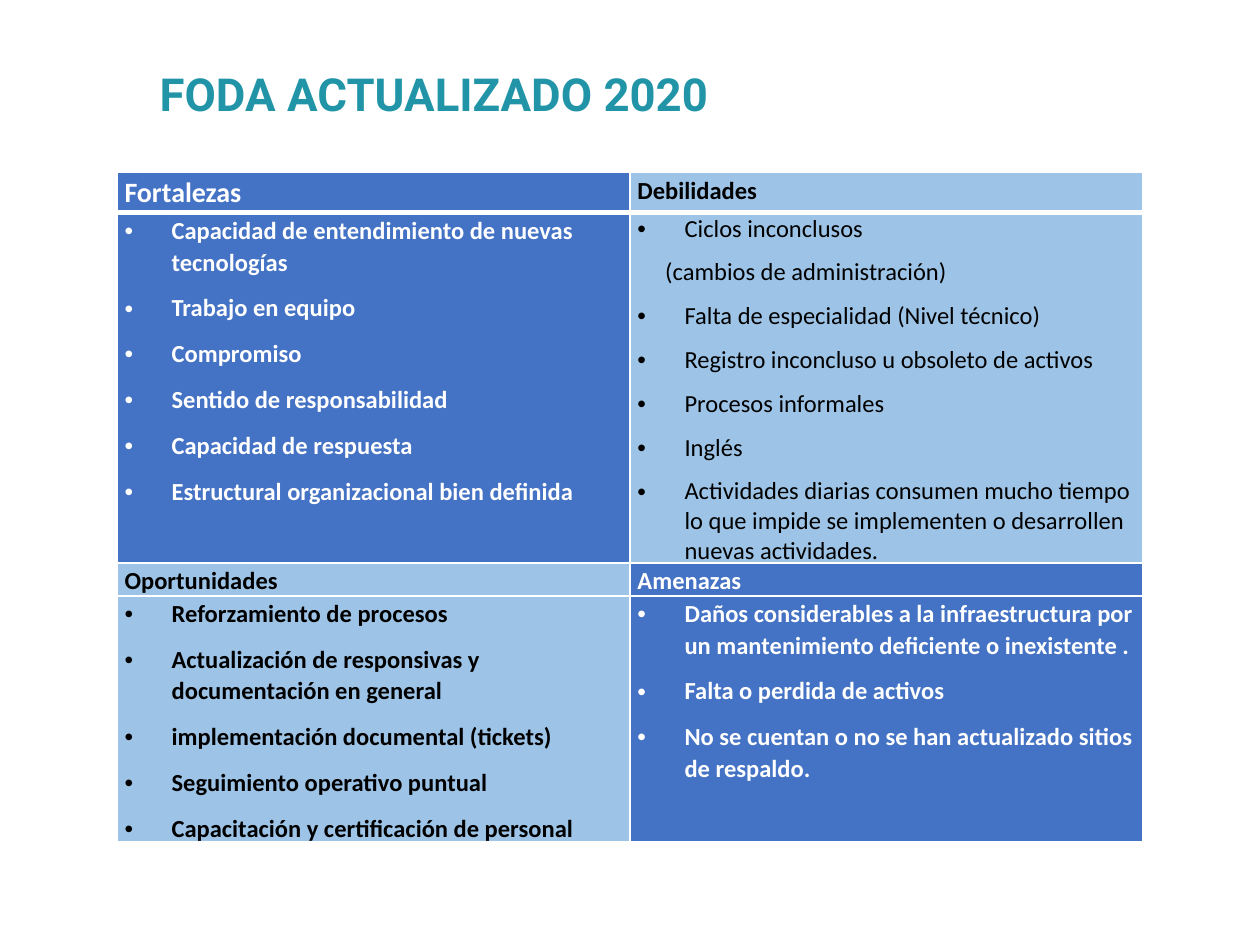
"""Build the FODA 2020 slide: a title over a two-by-two table of lists."""
from lxml.etree import SubElement
from pptx import Presentation
from pptx.dml.color import RGBColor
from pptx.enum.text import MSO_ANCHOR
from pptx.oxml import parse_xml
from pptx.oxml.ns import nsdecls, qn
from pptx.util import Cm, Pt

BLUE, LIGHT_BLUE, TEAL = "4472C4", "9DC3E6", "2195A7"
WHITE, BLACK = "FFFFFF", "000000"
HANGING = Cm(0.95)
CONTINUATION = "(cambios de administración)"


def style(paragraph, font_name, size, color, bold):
    for run in paragraph.runs:
        run.font.name = font_name
        run.font.size = Pt(size)
        run.font.bold = bold
        run.font.color.rgb = RGBColor.from_string(color)


def add_borders(cell, widths):
    properties = cell._tc.get_or_add_tcPr()
    for position, (side, width) in enumerate(widths.items()):
        properties.insert(position, parse_xml(
            f'<a:ln{side} {nsdecls("a")} w="{Pt(width)}"><a:solidFill>'
            f'<a:srgbClr val="{WHITE}"/></a:solidFill></a:ln{side}>'))


presentation = Presentation()
presentation.slide_width = Cm(25.4)
presentation.slide_height = Cm(19.05)
slide = presentation.slides.add_slide(presentation.slide_layouts[6])

title = slide.shapes.add_textbox(Cm(2.97), Cm(1.35), Cm(15.98), Cm(1.19))
title.text_frame.word_wrap = True
title.text_frame.vertical_anchor = MSO_ANCHOR.MIDDLE
title.text_frame.text = "FODA ACTUALIZADO 2020"
title.text_frame.paragraphs[0].line_spacing = 0.9
style(title.text_frame.paragraphs[0], "Roboto", 26, TEAL, True)

strengths = [
    "Capacidad de entendimiento de nuevas tecnologías",
    "Trabajo en equipo",
    "Compromiso",
    "Sentido de responsabilidad",
    "Capacidad de respuesta",
    "Estructural organizacional bien definida",
]
weaknesses = [
    "Ciclos inconclusos",
    CONTINUATION,
    "Falta de especialidad (Nivel técnico)",
    "Registro inconcluso u obsoleto de activos",
    "Procesos informales",
    "Inglés",
    "Actividades diarias consumen mucho tiempo lo que impide se implementen "
    "o desarrollen nuevas actividades.",
]
opportunities = [
    "Reforzamiento de procesos",
    "Actualización de responsivas y documentación en general",
    "implementación documental (tickets)",
    "Seguimiento operativo puntual",
    "Capacitación y certificación de personal",
]
threats = [
    "Daños considerables a la infraestructura por un mantenimiento "
    "deficiente o inexistente .",
    "Falta o perdida de activos",
    "No se cuentan o no se han actualizado sitios de respaldo.",
]
rows = [
    (["Fortalezas"], ["Debilidades"]),
    (strengths, weaknesses),
    (["Oportunidades"], ["Amenazas"]),
    (opportunities, threats),
]
row_heights = [0.81, 7.06, 0.66, 4.95]

table = slide.shapes.add_table(
    4, 2, Cm(2.36), Cm(3.48), Cm(20.68), Cm(sum(row_heights))).table
table.first_row = False
table.horz_banding = False
for column in table.columns:
    column.width = Cm(10.34)

for row_index, (row, height) in enumerate(zip(rows, row_heights)):
    table.rows[row_index].height = Cm(height)
    for column_index, lines in enumerate(row):
        cell = table.cell(row_index, column_index)
        dark = (row_index < 2) == (column_index == 0)
        cell.fill.solid()
        cell.fill.fore_color.rgb = RGBColor.from_string(BLUE if dark else LIGHT_BLUE)
        cell.margin_left = cell.margin_right = Cm(0.15)
        cell.margin_top, cell.margin_bottom = Cm(0.02), 0
        add_borders(cell, {"L": 1, "R": 1, "T": 3 if row_index == 1 else 1,
                           "B": 3 if row_index == 0 else 1})
        cell.text_frame.text = "\n".join(lines)
        for paragraph in cell.text_frame.paragraphs:
            paragraph.line_spacing = 1.0 if lines is weaknesses else 1.07
            paragraph.space_after = Pt(8)
            style(paragraph, "Calibri", 16 if lines == ["Fortalezas"] else 14,
                  WHITE if dark else BLACK, lines is not weaknesses)
            properties = paragraph._p.get_or_add_pPr()
            if paragraph.text == CONTINUATION:
                properties.set("marL", str(Cm(0.56)))
            elif row_index % 2:
                properties.set("marL", str(HANGING))
                properties.set("indent", str(-HANGING))
                SubElement(properties, qn("a:buFont")).set("typeface", "Arial")
                SubElement(properties, qn("a:buChar")).set("char", "•")

presentation.save("out.pptx")
